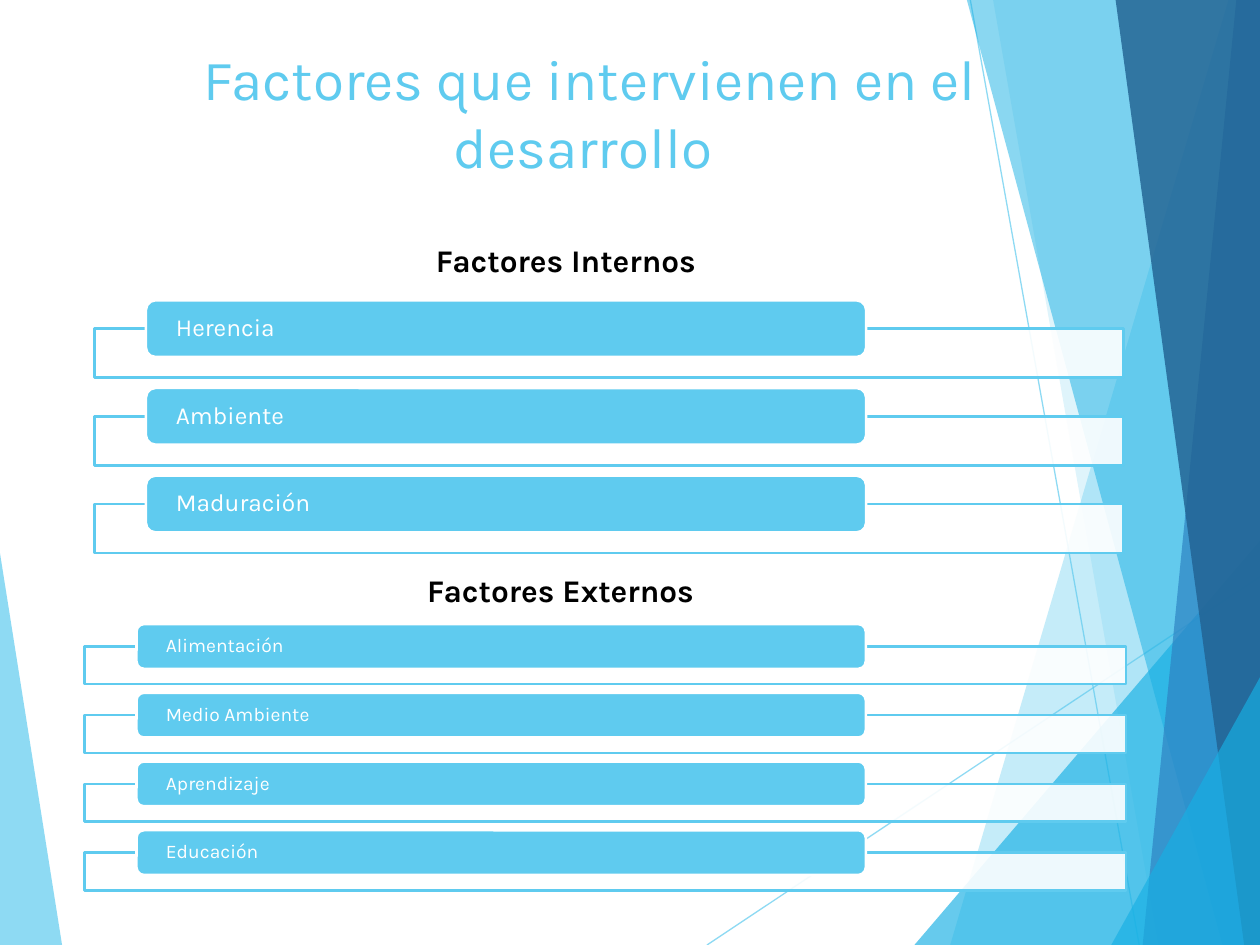
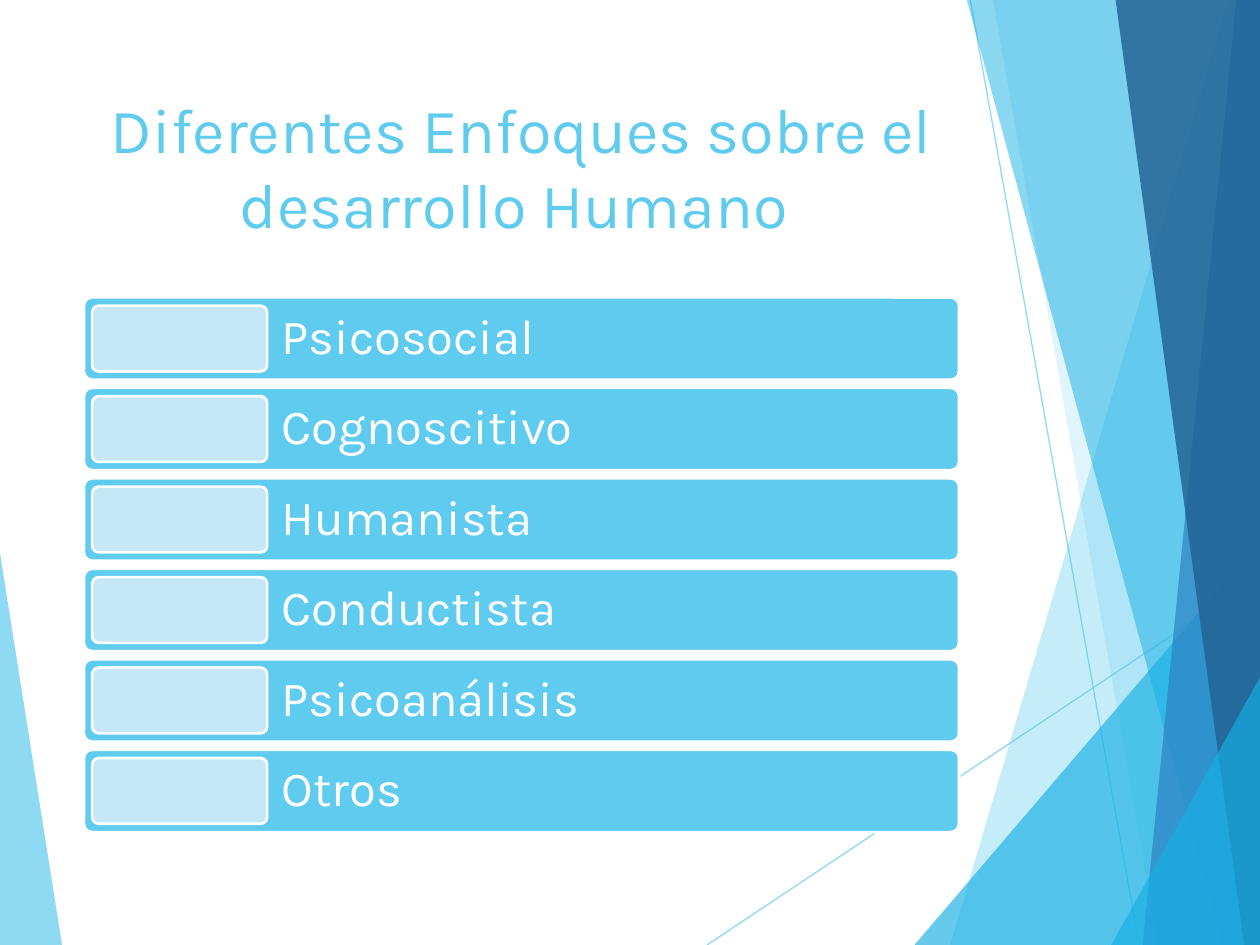
from collections import namedtuple

from lxml.etree import SubElement
from pptx import Presentation
from pptx.dml.color import RGBColor
from pptx.enum.shapes import MSO_CONNECTOR as Connector, MSO_SHAPE as Shape
from pptx.enum.text import MSO_ANCHOR as Anchor, PP_ALIGN as Align
from pptx.oxml.ns import qn
from pptx.util import Pt

SKY = RGBColor(0x5F, 0xCB, 0xEF)
CYAN = RGBColor(0x17, 0xB0, 0xE4)
BLUE = RGBColor(0x2E, 0x83, 0xC3)
NAVY = RGBColor(0x22, 0x62, 0x92)
PALE = RGBColor(0xC5, 0xE7, 0xF7)
WHITE = RGBColor(0xFF, 0xFF, 0xFF)
BLACK = RGBColor(0, 0, 0)

FONT = "Karla"
WIDTH, HEIGHT = 720, 540

Box = namedtuple("Box", "left top width height")

# Backdrop facets from back to front: colour, opacity in percent, corners
LEFT_FACET = (SKY, 70, [(0, 316), (35.5, 540), (0, 540)])
RIGHT_FACETS = [
    (SKY, 36, [(702, 0), (543, 540), (720, 540), (720, 0)]),
    (SKY, 20, [(567.5, 0), (662, 540), (720, 540), (720, 0)]),
    (CYAN, 66, [(522.5, 540), (720, 309), (720, 540)]),
    (CYAN, 50, [(552.5, 0), (698.5, 540), (720, 540), (720, 0)]),
    (BLUE, 70, [(706.5, 0), (653, 540), (720, 540), (720, 0)]),
    (NAVY, 82, [(637.5, 0), (711, 540), (720, 540), (720, 0)]),
    (CYAN, 66, [(635, 540), (720, 387), (720, 540)]),
]
BACKDROP_LINES = [(404, 540, 720, 329.5), (554.5, 0, 651, 540)]


def in_points(values):
    return [Pt(value) for value in values]


def set_opacity(element, percent):
    colour = element.find(".//" + qn("a:srgbClr"))
    SubElement(colour, qn("a:alpha"), val=str(percent * 1000))


def paint(shape, colour, opacity=100, outline=None):
    shape.shadow.inherit = False
    shape.fill.solid()
    shape.fill.fore_color.rgb = colour
    if opacity < 100:
        set_opacity(shape.fill._xPr.find(qn("a:solidFill")), opacity)
    if outline is None:
        shape.line.fill.background()
    else:
        shape.line.color.rgb = outline
        shape.line.width = Pt(1.5)


def add_block(page, kind, box, colour, outline, opacity=100):
    block = page.shapes.add_shape(kind, *in_points(box))
    paint(block, colour, opacity, outline)
    return block


def write(holder, text, size, colour, align=Align.LEFT, anchor=Anchor.TOP,
          margins=(7.2, 3.6, 7.2, 3.6), spacing=None, bold=False):
    frame = holder.text_frame
    frame.word_wrap = True
    frame.vertical_anchor = anchor
    (frame.margin_left, frame.margin_top,
     frame.margin_right, frame.margin_bottom) = in_points(margins)
    para = frame.paragraphs[0]
    para.alignment = align
    para.line_spacing = spacing
    span = para.add_run()
    span.text = text
    span.font.name = FONT
    span.font.size = Pt(size)
    span.font.bold = bold
    span.font.color.rgb = colour


def add_text(page, box, text, size, colour, **style):
    write(page.shapes.add_textbox(*in_points(box)), text, size, colour, **style)


def add_facet(page, colour, opacity, corners):
    start, *others = [in_points(corner) for corner in corners]
    builder = page.shapes.build_freeform(*start)
    builder.add_line_segments(others, close=True)
    paint(builder.convert_to_shape(), colour, opacity)


def add_backdrop(page):
    add_facet(page, *LEFT_FACET)
    for ends in BACKDROP_LINES:
        line = page.shapes.add_connector(Connector.STRAIGHT, *in_points(ends))
        line.line.color.rgb = SKY
        line.line.width = Pt(0.75)
        properties = line._element.spPr
        set_opacity(properties, 70)
        SubElement(properties, qn("a:effectLst"))
    for facet in RIGHT_FACETS:
        add_facet(page, *facet)


def add_page(deck, title, box, size):
    page = deck.slides.add_slide(deck.slide_layouts[6])
    add_backdrop(page)
    add_text(page, box, title, size, SKY, align=Align.CENTER)
    return page


def add_factor_list(page, box, factors, bar_height, frame_height, size):
    """Rows of open frames, each with a bar straddling its top edge."""
    pitch = (box.height - bar_height / 2 - frame_height) / (len(factors) - 1)
    for row, factor in enumerate(factors):
        top = box.top + row * pitch
        frame = Box(box.left, top + bar_height / 2, box.width, frame_height)
        add_block(page, Shape.RECTANGLE, frame, WHITE, SKY, opacity=90)
        bar = Box(box.left + 0.05 * box.width, top, 0.7 * box.width, bar_height)
        label = add_block(page, Shape.ROUNDED_RECTANGLE, bar, SKY, WHITE)
        write(label, factor, size, WHITE, anchor=Anchor.MIDDLE,
              margins=(15.6, 0, 15.6, 0), spacing=0.9)


def add_approach_list(page, box, approaches):
    """Rounded bars with a pale tile on the left; gaps are a tenth of a bar."""
    count = len(approaches)
    bar_height = box.height / (count + 0.1 * (count - 1))
    inset = 0.1 * bar_height
    tile_width = 0.2 * box.width
    for row, approach in enumerate(approaches):
        top = box.top + row * (bar_height + inset)
        bar = Box(box.left, top, box.width, bar_height)
        tile = Box(box.left + inset, top + inset, tile_width, 0.8 * bar_height)
        offset = inset + tile_width
        label = Box(box.left + offset, top, box.width - offset, bar_height)
        for part, colour in ((bar, SKY), (tile, PALE)):
            block = add_block(page, Shape.ROUNDED_RECTANGLE, part, colour, WHITE)
            block.adjustments[0] = 0.1
        add_text(page, label, approach, 28, WHITE, anchor=Anchor.MIDDLE,
                 margins=(8.4,) * 4, spacing=0.9)


def build_factors(deck):
    page = add_page(deck, "Factores que intervienen en el desarrollo ",
                    Box(36, 21.6, 602, 90), 32.4)
    # Internal factors
    add_text(page, Box(242, 134, 183, 29), "Factores Internos", 18, BLACK, bold=True)
    add_factor_list(page, Box(54, 171.6, 588, 144.4),
                    ["Herencia", "Ambiente", "Maduración"], 32.4, 28, 14)
    # External factors
    add_text(page, Box(237, 322.5, 187, 29), "Factores Externos", 18, BLACK, bold=True)
    add_factor_list(page, Box(48.2, 356.6, 595.4, 152.2),
                    ["Alimentación", "Medio Ambiente", "Aprendizaje", "Educación"],
                    25.6, 21.6, 11)


def build_approaches(deck):
    page = add_page(deck, "Diferentes Enfoques sobre el desarrollo Humano ",
                    Box(48, 48, 500, 104), 36)
    add_approach_list(page, Box(48, 170, 500, 305.5),
                      ["Psicosocial", "Cognoscitivo", "Humanista",
                       "Conductista", "Psicoanálisis", "Otros"])


def main():
    deck = Presentation()
    deck.slide_width, deck.slide_height = Pt(WIDTH), Pt(HEIGHT)
    build_factors(deck)
    build_approaches(deck)
    deck.save("out.pptx")


if __name__ == "__main__":
    main()
